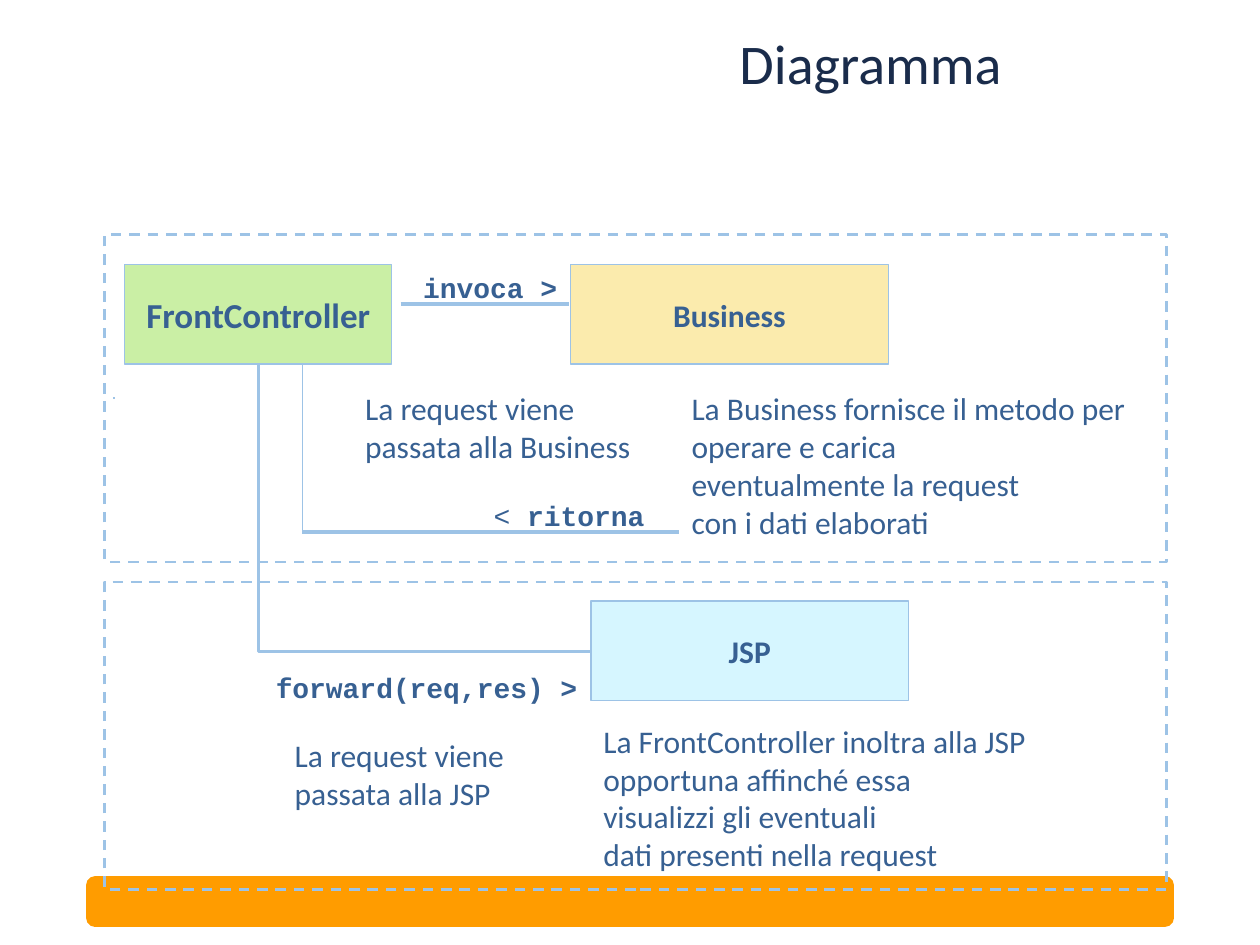
from pptx import Presentation, util as u
from pptx.dml import color
from pptx.enum import dml, shapes, text
from pptx.oxml import ns, xmlchemy as xml

INK = "376092"
EDGE = "9DC3E6"
SANS = "Calibri"
MONO = "Courier New"


def rgb(code):
    return color.RGBColor.from_string(code)


class Board:
    def __init__(self, deck):
        self.slide = deck.slides.add_slide(deck.slide_layouts[5])
        self.items = self.slide.shapes

    def run(self, para, words, size, font=SANS, bold=False, tint=INK):
        run = para.add_run()
        run.text = words
        run.font.name = font
        run.font.size = u.Pt(size)
        run.font.bold = bold
        run.font.color.rgb = rgb(tint)

    def title(self, words):
        head = self.items.title
        head.left, head.top, head.width, head.height = map(u.Inches, (3.82, 0.14, 6.18, 0.77))
        frame = head.text_frame
        frame.vertical_anchor = text.MSO_ANCHOR.MIDDLE
        para = frame.paragraphs[0]
        para.alignment = text.PP_ALIGN.CENTER
        para.line_spacing = 0.9
        self.run(para, words, 32, tint="1A2C4B")

    def shape(self, kind, area, fill=None, alpha=None, edge=EDGE, width=0.75, dash=False):
        item = self.items.add_shape(kind, *map(u.Inches, area))
        item.shadow.inherit = False
        if fill:
            item.fill.solid()
            item.fill.fore_color.rgb = rgb(fill)
        else:
            item.fill.background()
        if alpha:
            tone = item.fill._xPr.find(".//" + ns.qn("a:srgbClr"))
            xml.OxmlElement("a:alpha")
            part = xml.OxmlElement("a:alpha")
            part.set("val", str(alpha * 1000))
            tone.append(part)
        item.line.color.rgb = rgb(edge)
        item.line.width = u.Pt(width)
        if dash:
            item.line.dash_style = dml.MSO_LINE.DASH
        return item

    def box(self, words, area, fill, size=18, alpha=None):
        item = self.shape(shapes.MSO_SHAPE.RECTANGLE, area, fill, alpha)
        frame = item.text_frame
        frame.word_wrap = False
        frame.vertical_anchor = text.MSO_ANCHOR.MIDDLE
        para = frame.paragraphs[0]
        para.alignment = text.PP_ALIGN.CENTER
        self.run(para, words, size, bold=True)

    def frame(self, area, wrap):
        frame = self.items.add_textbox(*map(u.Inches, area)).text_frame
        frame.word_wrap = wrap
        frame.auto_size = text.MSO_AUTO_SIZE.SHAPE_TO_FIT_TEXT
        return frame

    def note(self, area, lines):
        frame = self.frame(area, True)
        for count, words in enumerate(lines):
            para = frame.add_paragraph() if count else frame.paragraphs[0]
            self.run(para, words, 18)

    def label(self, area, parts):
        para = self.frame(area, False).paragraphs[0]
        for words, bold in parts:
            self.run(para, words, 16, MONO, bold)

    def line(self, ends, width, kind=shapes.MSO_CONNECTOR.STRAIGHT):
        item = self.items.add_connector(kind, *map(u.Inches, ends))
        item.line.color.rgb = rgb(EDGE)
        item.line.width = u.Pt(width)
        item._element.spPr.append(xml.OxmlElement("a:effectLst"))
        return item

    def elbow(self, start, end, width):
        (left, top), (right, base) = start, end
        midx, midy = (left + right) / 2, (top + base) / 2
        wide, tall = (base - top) / 2, (right - left) / 2
        ends = midx + wide, midy - tall, midx - wide, midy + tall
        props = self.line(ends, width, shapes.MSO_CONNECTOR.ELBOW)._element.spPr
        props.find(ns.qn("a:xfrm")).set("rot", "16200000")
        props.find(ns.qn("a:prstGeom")).set("prst", "bentConnector2")


def main():
    deck = Presentation()
    deck.slide_width, deck.slide_height = u.Inches(10), u.Inches(7.5)
    board = Board(deck)
    board.title("Diagramma")
    board.shape(shapes.MSO_SHAPE.ROUNDED_RECTANGLE, (0.69, 6.96, 8.62, 0.39),
                "FF9C00", edge="FF9C00", width=1)

    board.box("FrontController", (0.99, 2.1, 2.12, 0.79), "CAEFA5", 20)
    board.box("Business", (4.53, 2.1, 2.52, 0.79), "F9D85D", alpha=50)
    board.line((3.18, 2.41, 4.52, 2.41), 2.25)
    board.label((3.26, 2.1, 1.27, 0.37), [("invoca >", True)])
    board.note((5.39, 3.04, 3.86, 1.31), [
        "La Business fornisce il metodo per operare e carica",
        "eventualmente la request",
        "con i dati elaborati"])
    board.line((2.4, 4.22, 5.39, 4.22), 2.25)
    board.label((3.82, 3.91, 1.4, 0.37), [("< ", False), ("ritorna", True)])

    board.box("JSP", (4.69, 4.77, 2.52, 0.79), "00CCFF", alpha=16)
    board.line((0.9, 3.16, 0.91, 3.16), 0.75)
    board.note((4.69, 5.68, 4.33, 1.31), [
        "La FrontController inoltra alla JSP opportuna affinché essa",
        "visualizzi gli eventuali",
        "dati presenti nella request"])
    board.elbow((2.05, 2.89), (4.69, 5.17), 1.5)
    board.label((2.09, 5.27, 2.61, 0.37), [("forward(req,res) >", True)])

    for top, tall in ((1.86, 2.6), (4.62, 2.44)):
        board.shape(shapes.MSO_SHAPE.RECTANGLE, (0.83, top, 8.43, tall), width=1.5, dash=True)
    board.note((2.24, 5.79, 2.31, 0.71), ["La request viene", "passata alla JSP"])
    board.note((2.8, 3.04, 2.9, 0.71), ["La request viene", "passata alla Business"])
    board.line((2.4, 2.88, 2.4, 4.22), 0.75)
    deck.save("out.pptx")


if __name__ == "__main__":
    main()
